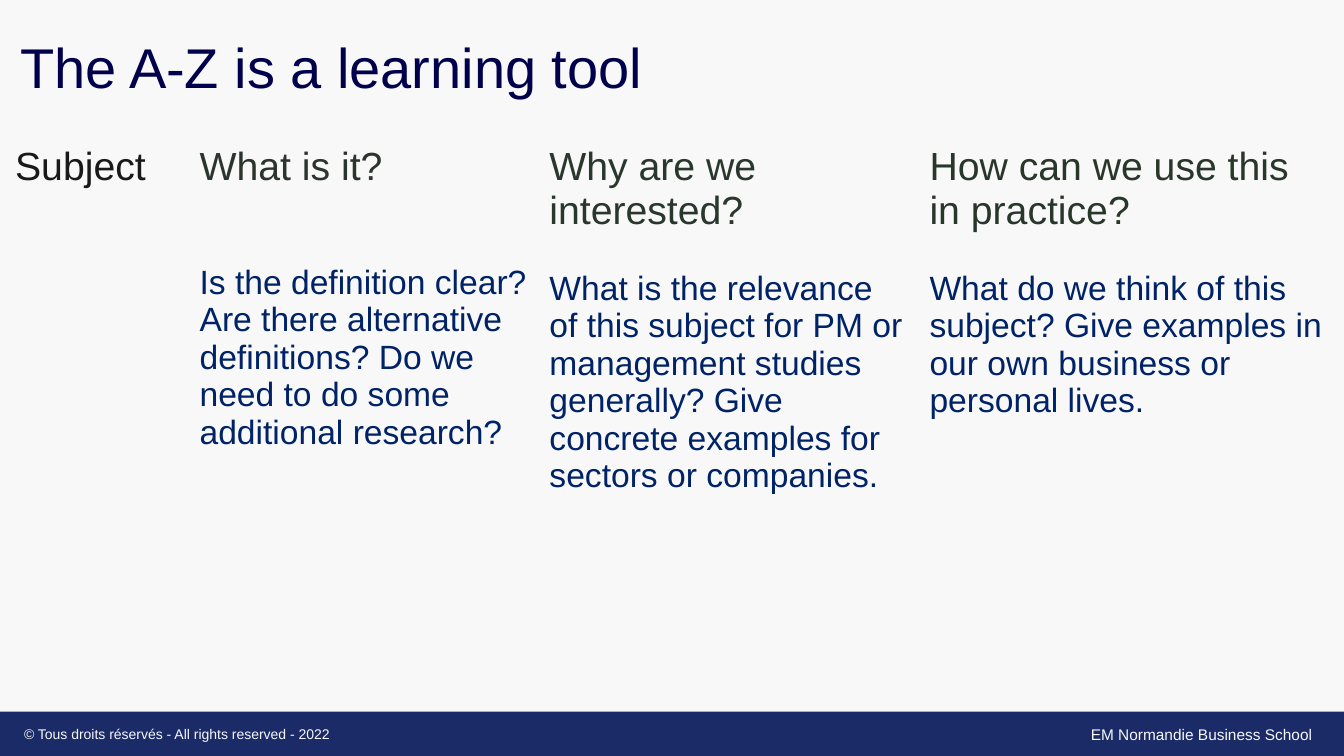
from lxml import etree
from pptx import Presentation
from pptx.dml.color import RGBColor
from pptx.enum.shapes import MSO_SHAPE
from pptx.enum.text import MSO_ANCHOR, PP_ALIGN
from pptx.oxml.ns import qn
from pptx.util import Inches, Pt

RECTANGLE = MSO_SHAPE.RECTANGLE
MIDDLE = MSO_ANCHOR.MIDDLE
LEFT = PP_ALIGN.LEFT

PAPER = "F8F8F8"
ANSWER_LINE = 26.8  # height of one 24 pt line, in points


def color(hex_code):
    return RGBColor.from_string(hex_code)


def format_text(paragraph, size, hex_code):
    paragraph.alignment = LEFT
    for run in paragraph.runs:
        run.font.name = "Arial"
        run.font.size = Pt(size)
        run.font.bold = False
        run.font.color.rgb = color(hex_code)


prs = Presentation()
prs.slide_width, prs.slide_height = Inches(13.33), Inches(7.5)
slide = prs.slides.add_slide(prs.slide_layouts[5])
slide.background.fill.solid()
slide.background.fill.fore_color.rgb = color(PAPER)

# Footer band
footer_height = Inches(0.44)
footer = slide.shapes.add_shape(
    RECTANGLE, 0, prs.slide_height - footer_height, prs.slide_width, footer_height)
footer.shadow.inherit = False
footer.fill.solid()
footer.fill.fore_color.rgb = color("1A2B68")
footer.line.fill.background()

for words, size, left, top, width, height in [
    ("EM Normandie Business School", 11, 10.72, 7.14, 2.45, 0.29),
    ("© Tous droits réservés - All rights reserved - 2022", 10, 0.14, 7.15, 4.41, 0.27),
]:
    note = slide.shapes.add_textbox(*map(Inches, (left, top, width, height)))
    note.text_frame.word_wrap = True
    note.text_frame.text = words
    format_text(note.text_frame.paragraphs[0], size, PAPER)

# Title
title = slide.shapes.title
title.left, title.top, title.width, title.height = map(Inches, (0.1, 0, 12.65, 1.39))
title.text_frame.text = "The A-Z is a learning tool"
title.text_frame.vertical_anchor = MIDDLE
title.text_frame.paragraphs[0].line_spacing = 0.9
format_text(title.text_frame.paragraphs[0], 40, "00004C")

# Question grid: heading, heading colour, answer, blank lines between them
questions = [
    ("Subject", "191919", "", 0),
    ("What is it?", "2B352D",
     "Is the definition clear? Are there alternative definitions? "
     "Do we need to do some additional research?", 2),
    ("Why are we interested?", "29372C",
     "What is the relevance of this subject for PM or management studies generally? "
     "Give concrete examples for sectors or companies.", 1),
    ("How can we use this in practice?", "29372B",
     "What do we think of this subject? "
     "Give examples in our own business or personal lives.", 1),
]
column_widths = [1.83, 3.47, 3.77, 4.17]
row_heights = [2.56, 0.33, 0.33]

grid = slide.shapes.add_table(
    len(row_heights), len(column_widths), Inches(0.05), Inches(1.39),
    Inches(sum(column_widths)), Inches(sum(row_heights))).table
grid.first_row = grid.horz_banding = False
for column, width in zip(grid.columns, column_widths):
    column.width = Inches(width)

for row_index, (row, height) in enumerate(zip(grid.rows, row_heights)):
    row.height = Inches(height)
    for cell in row.cells:
        cell_properties = cell._tc.get_or_add_tcPr()
        for side in ("L", "R", "T", "B"):
            heavy = (row_index, side) in [(0, "B"), (1, "T")]
            border = etree.SubElement(
                cell_properties, qn(f"a:ln{side}"), w=str(Pt(3 if heavy else 1)))
            border_fill = etree.SubElement(border, qn("a:solidFill"))
            etree.SubElement(border_fill, qn("a:srgbClr"), val=PAPER)
        if row_index == 1:
            cell.fill.solid()
            cell.fill.fore_color.rgb = color(PAPER)
        else:
            cell.fill.background()

for cell, (heading, heading_color, answer, gap_lines) in zip(grid.rows[0].cells, questions):
    cell.text_frame.text = heading
    format_text(cell.text_frame.paragraphs[0], 28, heading_color)
    if answer:
        answer_paragraph = cell.text_frame.add_paragraph()
        answer_paragraph.text = answer
        answer_paragraph.space_before = Pt(gap_lines * ANSWER_LINE)
        format_text(answer_paragraph, 24, "002266")

prs.save("out.pptx")
